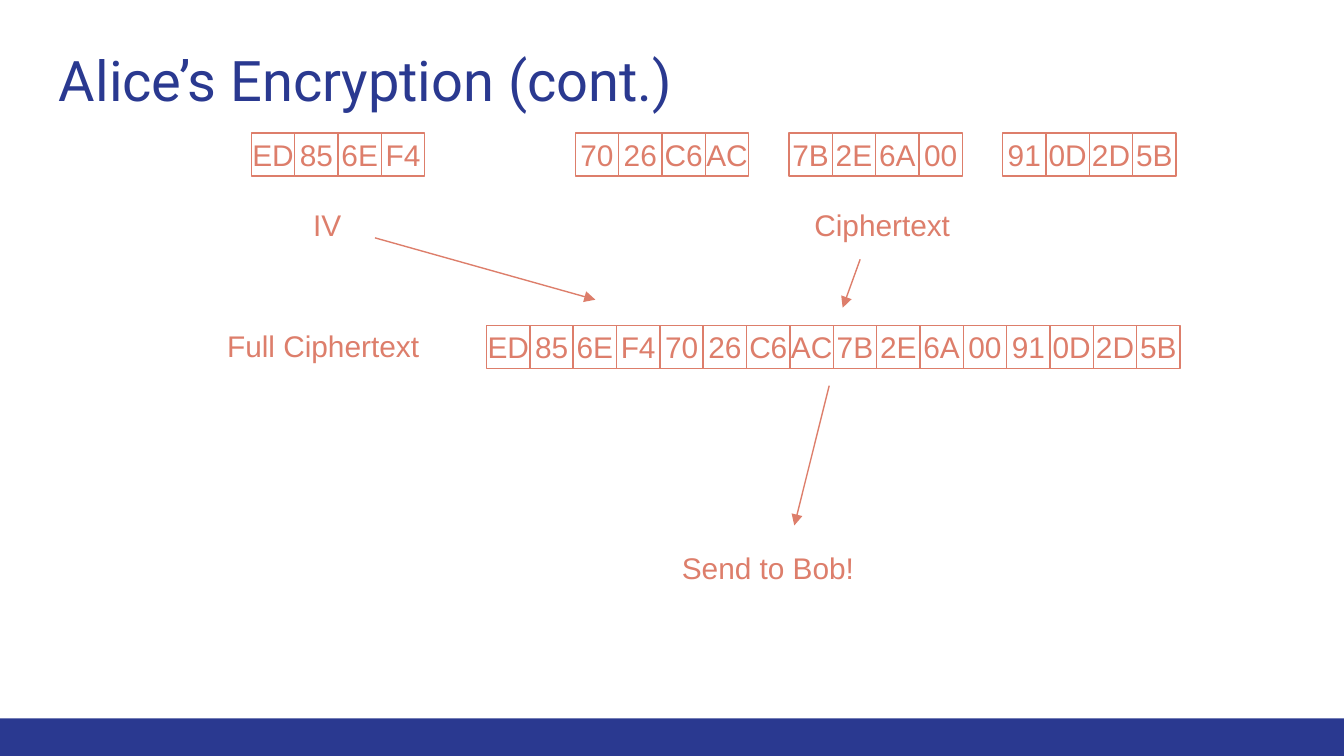
from dataclasses import dataclass

from lxml import etree
from pptx import Presentation
from pptx.dml.color import RGBColor
from pptx.enum.shapes import MSO_CONNECTOR as Connector, MSO_SHAPE as Shape
from pptx.enum.text import MSO_ANCHOR as Anchor, MSO_AUTO_SIZE as AutoSize, PP_ALIGN as Align
from pptx.oxml.ns import qn
from pptx.util import Inches, Pt


@dataclass(frozen=True)
class Theme:
    navy: RGBColor = RGBColor(0x2A, 0x39, 0x90)
    coral: RGBColor = RGBColor(0xDD, 0x7E, 0x6B)
    white: RGBColor = RGBColor(0xFF, 0xFF, 0xFF)
    title_font: str = "Roboto"
    body_font: str = "Arial"
    title_size: int = 30
    body_size: int = 16
    line_width: float = 0.75


THEME = Theme()
SLIDE_W = 10
SLIDE_H = SLIDE_W * 9 / 16
BLOCK_W, BLOCK_H = 1.29, 0.32
LABEL_W, LABEL_H = 2.37, 0.47
IV = ["ED", "85", "6E", "F4"]
CIPHERTEXT = [
    ["70", "26", "C6", "AC"],
    ["7B", "2E", "6A", "00"],
    ["91", "0D", "2D", "5B"],
]


def write(frame, text, font, size, color, align, inset, anchor=Anchor.TOP):
    frame.word_wrap = True
    frame.vertical_anchor = anchor
    frame.margin_left = frame.margin_right = Inches(inset)
    frame.margin_top = frame.margin_bottom = Inches(inset)
    paragraph = frame.paragraphs[0]
    paragraph.alignment = align
    run = paragraph.add_run()
    run.text = text
    run.font.name, run.font.size = font, Pt(size)
    run.font.color.rgb = color


def add_box(shapes, left, top, width, height, line):
    box = shapes.add_shape(Shape.RECTANGLE, Inches(left), Inches(top),
                           Inches(width), Inches(height))
    box.shadow.inherit = False
    box.fill.background()
    box.line.color.rgb = line
    box.line.width = Pt(THEME.line_width)
    return box


def add_block(slide, left, top, byte_values):
    """One four-byte block, grouped."""
    block = slide.shapes.add_group_shape()
    cell_w = BLOCK_W / len(byte_values)
    for i, value in enumerate(byte_values):
        cell = add_box(block.shapes, left + i * cell_w, top, cell_w, BLOCK_H, THEME.coral)
        write(cell.text_frame, value, THEME.body_font, THEME.body_size,
              THEME.coral, Align.CENTER, 0, Anchor.MIDDLE)


def add_blocks(slide, left, top, blocks, gap=0.0):
    for i, block in enumerate(blocks):
        add_block(slide, left + i * (BLOCK_W + gap), top, block)


def add_label(slide, left, top, text):
    label = add_box(slide.shapes, left, top, LABEL_W, LABEL_H, THEME.white)
    write(label.text_frame, text, THEME.body_font, THEME.body_size,
          THEME.coral, Align.CENTER, 0.1)
    label.text_frame.auto_size = AutoSize.SHAPE_TO_FIT_TEXT


def add_arrow(slide, start, end):
    arrow = slide.shapes.add_connector(Connector.STRAIGHT, *map(Inches, start + end))
    arrow.line.color.rgb = THEME.coral
    arrow.line.width = Pt(THEME.line_width)
    properties = arrow._element.spPr
    etree.SubElement(properties.find(qn("a:ln")), qn("a:tailEnd"), type="triangle")
    etree.SubElement(properties, qn("a:effectLst"))


def add_frame(slide, left, top, width, height):
    """Footer band and title."""
    band_h = 0.28
    band = add_box(slide.shapes, left, top + height - band_h, width, band_h, THEME.navy)
    band.fill.solid()
    band.fill.fore_color.rgb = THEME.navy
    band.line.fill.background()
    title = slide.shapes.add_textbox(Inches(left + 0.34), Inches(top + 0.24),
                                     Inches(width - 0.68), Inches(0.66))
    write(title.text_frame, "Alice’s Encryption (cont.)", THEME.title_font,
          THEME.title_size, THEME.navy, Align.LEFT, 0.1)


def add_parts(slide, left, top):
    """IV and ciphertext blocks, each with its label."""
    label_top = top + 0.45
    add_label(slide, left + 3.51, label_top, "Ciphertext")
    add_blocks(slide, left + 2.41, top, CIPHERTEXT, gap=0.3)
    add_block(slide, left, top, IV)
    add_label(slide, left - 0.62, label_top, "IV")


def add_full_message(slide, left, top):
    """IV and ciphertext joined without gaps."""
    add_label(slide, left, top - 0.08, "Full Ciphertext")
    add_blocks(slide, left + 2.4, top, [IV] + CIPHERTEXT)


def main():
    prs = Presentation()
    prs.slide_width, prs.slide_height = Inches(SLIDE_W), Inches(SLIDE_H)
    slide = prs.slides.add_slide(prs.slide_layouts[6])

    add_frame(slide, 0, 0, SLIDE_W, SLIDE_H)
    add_parts(slide, 1.87, 0.99)
    add_full_message(slide, 1.22, 2.42)

    # Flow from the parts to the full message, then to Bob
    add_arrow(slide, (2.79, 1.77), (4.43, 2.23))
    add_arrow(slide, (6.4, 1.93), (6.27, 2.29))
    add_arrow(slide, (6.17, 2.87), (5.91, 3.91))
    add_label(slide, 4.53, 3.99, "Send to Bob!")

    prs.save("out.pptx")


if __name__ == "__main__":
    main()
